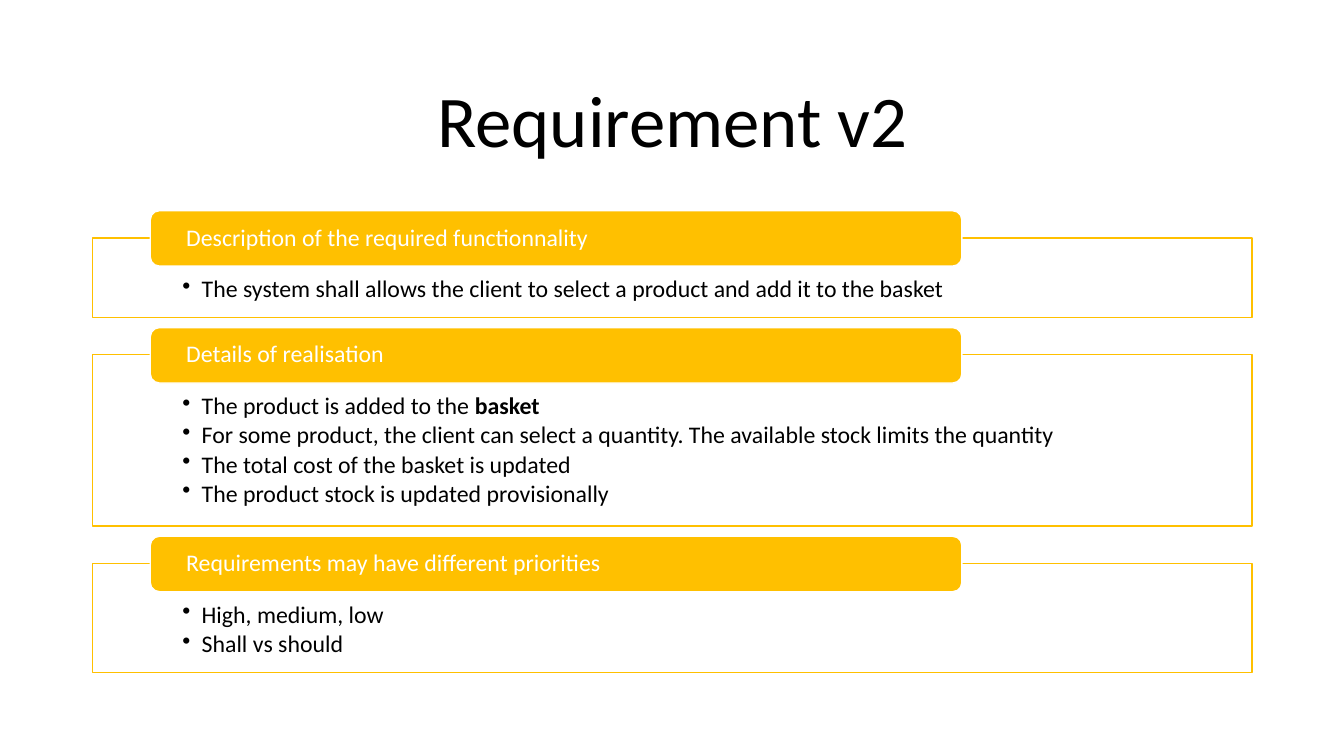
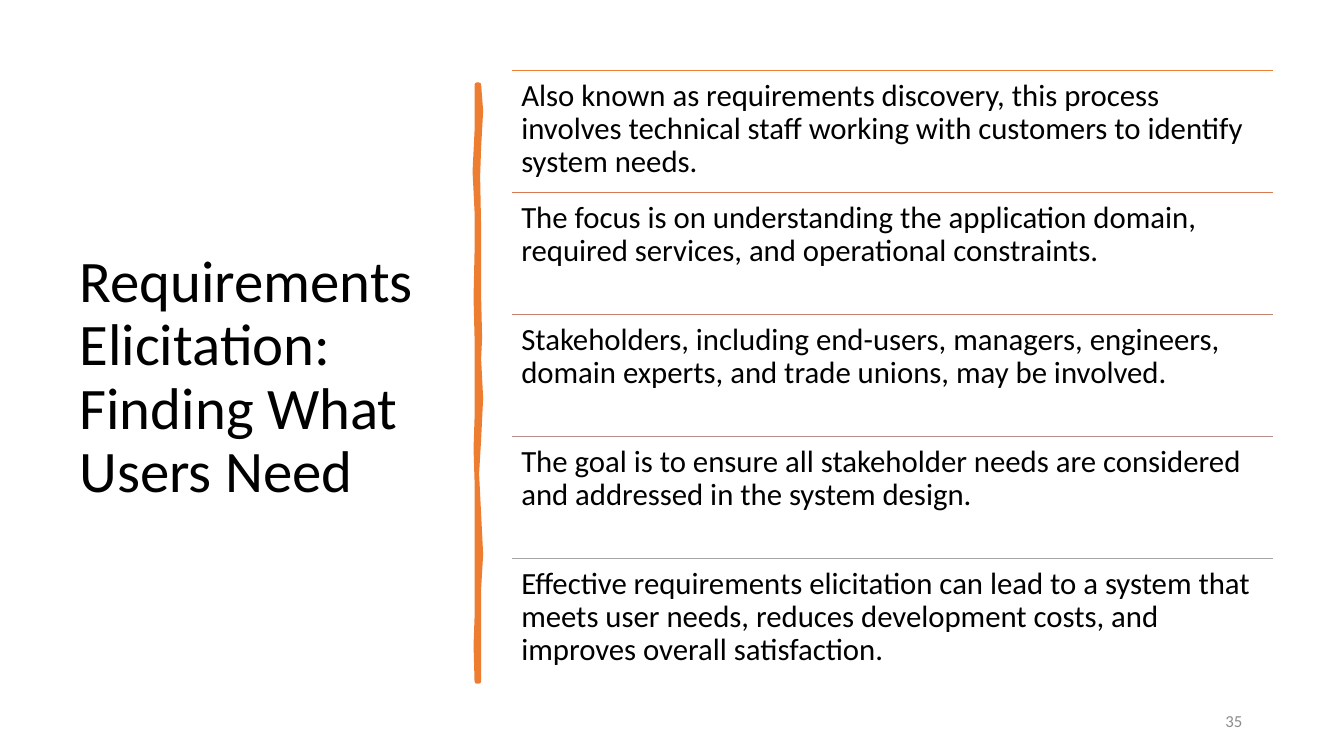
from lxml import etree
from pptx import Presentation
from pptx.dml.color import RGBColor
from pptx.enum.shapes import MSO_CONNECTOR, MSO_SHAPE
from pptx.enum.text import MSO_ANCHOR, PP_ALIGN
from pptx.oxml.ns import qn
from pptx.util import Inches, Pt

RECTANGLE = MSO_SHAPE.RECTANGLE
ROUNDED = MSO_SHAPE.ROUNDED_RECTANGLE
STRAIGHT = MSO_CONNECTOR.STRAIGHT
TOP, MIDDLE = MSO_ANCHOR.TOP, MSO_ANCHOR.MIDDLE
LEFT, CENTER, RIGHT = PP_ALIGN.LEFT, PP_ALIGN.CENTER, PP_ALIGN.RIGHT

FONT = "Calibri"
COLORS = {
    "text": "000000",
    "white": "FFFFFF",
    "gold": "FFC000",
    "orange": "ED7D31",
    "number": "8C8C8C",
}
RULE_COLORS = ["ED7D31", "D87A51", "C48170", "B4908B", "A5A5A5"]


def write_text(shape, lines, size, color="text", align=LEFT, anchor=TOP,
               margins=(0.1, 0.05, 0.1, 0.05), spacing=0.9, bullets=False):
    """Fill a shape with paragraphs; the part of a line after * is bold."""
    frame = shape.text_frame
    frame.word_wrap = True
    frame.vertical_anchor = anchor
    (frame.margin_left, frame.margin_top,
     frame.margin_right, frame.margin_bottom) = map(Inches, margins)
    for index, line in enumerate(lines):
        paragraph = frame.add_paragraph() if index else frame.paragraphs[0]
        plain, _, bold = line.partition("*")
        paragraph.text = plain
        if bold:
            run = paragraph.add_run()
            run.text = bold
            run.font.bold = True
        paragraph.alignment = align
        paragraph.line_spacing = spacing
        if bullets:
            paragraph.space_after = Pt(2.5)
            properties = paragraph._p.get_or_add_pPr()
            properties.set("marL", str(Inches(0.19)))
            properties.set("indent", str(-Inches(0.19)))
            etree.SubElement(properties, qn("a:buChar")).set("char", "•")
        for run in paragraph.runs:
            run.font.name = FONT
            run.font.size = Pt(size)
            run.font.color.rgb = RGBColor.from_string(COLORS[color])


def add_box(slide, kind, left, top, width, height, fill, line):
    shape = slide.shapes.add_shape(
        kind, Inches(left), Inches(top), Inches(width), Inches(height))
    shape.shadow.inherit = False
    shape.fill.solid()
    shape.fill.fore_color.rgb = RGBColor.from_string(COLORS[fill])
    shape.line.color.rgb = RGBColor.from_string(COLORS[line])
    shape.line.width = Pt(1)
    return shape


presentation = Presentation()
presentation.slide_width = Inches(13.33)
presentation.slide_height = Inches(7.5)
blank = presentation.slide_layouts[6]

# Slide 1: title
slide = presentation.slides.add_slide(blank)
title = slide.shapes.add_textbox(
    Inches(0.92), Inches(0.61), Inches(11.5), Inches(1.24))
write_text(title, ["Requirement v2"], 52, align=CENTER, anchor=MIDDLE)

# Slide 1: panels with a heading on the top edge
panels = [
    ("Description of the required functionnality", 0.79, [
        "The system shall allows the client to select a product and add it to the basket",
    ]),
    ("Details of realisation", 1.7, [
        "The product is added to the *basket",
        "For some product, the client can select a quantity. The available stock limits the quantity",
        "The total cost of the basket is updated",
        "The product stock is updated provisionally",
    ]),
    ("Requirements may have different priorities", 1.08, [
        "High, medium, low",
        "Shall vs should",
    ]),
]
panel_top, panel_gap = 2.36, 0.37
for heading, height, items in panels:
    panel = add_box(slide, RECTANGLE, 0.92, panel_top, 11.5, height, "white", "gold")
    write_text(panel, items, 17, margins=(0.89, 0.39, 0.89, 0.13), bullets=True)
    header = add_box(slide, ROUNDED, 1.49, panel_top - 0.27, 8.05, 0.55, "gold", "white")
    write_text(header, [heading], 17, "white", anchor=MIDDLE,
               margins=(0.33, 0, 0.33, 0))
    panel_top += height + panel_gap

# Slide 2: title
slide = presentation.slides.add_slide(blank)
title = slide.shapes.add_textbox(
    Inches(0.69), Inches(0.7), Inches(3.74), Inches(6.11))
write_text(title, ["Requirements Elicitation: Finding What Users Need"], 42,
           anchor=MIDDLE)

# Slide 2: hand-drawn divider, down the right edge and up the left
right_edge = [
    (4.75, 0.84), (4.77, 1.1), (4.75, 1.46), (4.74, 1.75), (4.75, 2.26),
    (4.75, 2.94), (4.76, 3.35), (4.75, 3.56), (4.77, 3.95), (4.75, 4.36),
    (4.73, 4.7), (4.75, 5.1), (4.77, 5.5), (4.75, 5.84), (4.75, 6.76),
]
left_edge = [
    (4.73, 6.76), (4.72, 6.4), (4.73, 6.13), (4.73, 4.77), (4.72, 4.45),
    (4.73, 4.15), (4.73, 3.35), (4.72, 2.95), (4.73, 2.5), (4.73, 2.1),
    (4.71, 1.7), (4.73, 1.3), (4.73, 0.84),
]
outline = [(Inches(x), Inches(y)) for x, y in right_edge + left_edge]
builder = slide.shapes.build_freeform(*outline[0])
builder.add_line_segments(outline[1:], close=True)
divider = builder.convert_to_shape()
divider.shadow.inherit = False
divider.fill.solid()
divider.fill.fore_color.rgb = RGBColor.from_string(COLORS["orange"])
divider.line.color.rgb = RGBColor.from_string(COLORS["orange"])
divider.line.width = Pt(3.25)
etree.SubElement(divider.line._get_or_add_ln(), qn("a:round"))

# Slide 2: statements under coloured rules
statements = [
    "Also known as requirements discovery, this process involves technical staff working with customers to identify system needs.",
    "The focus is on understanding the application domain, required services, and operational constraints.",
    "Stakeholders, including end-users, managers, engineers, domain experts, and trade unions, may be involved.",
    "The goal is to ensure all stakeholder needs are considered and addressed in the system design.",
    "Effective requirements elicitation can lead to a system that meets user needs, reduces development costs, and improves overall satisfaction.",
]
row_left, row_width, row_height = Inches(5.08), Inches(7.55), Inches(1.21)
for index, (statement, color) in enumerate(zip(statements, RULE_COLORS)):
    row_top = Inches(0.7) + index * row_height
    rule = slide.shapes.add_connector(
        STRAIGHT, row_left, row_top, row_left + row_width, row_top)
    rule.line.color.rgb = RGBColor.from_string(color)
    rule.line.width = Pt(1)
    etree.SubElement(rule._element.spPr, qn("a:effectLst"))
    row = slide.shapes.add_textbox(row_left, row_top, row_width, row_height)
    write_text(row, [statement], 22, margins=(0.09, 0.09, 0.09, 0.09))

# Slide 2: page number
number = slide.shapes.add_textbox(
    Inches(9.42), Inches(6.95), Inches(3), Inches(0.4))
write_text(number, ["35"], 12, "number", align=RIGHT, anchor=MIDDLE, spacing=1.0)

presentation.save("out.pptx")
